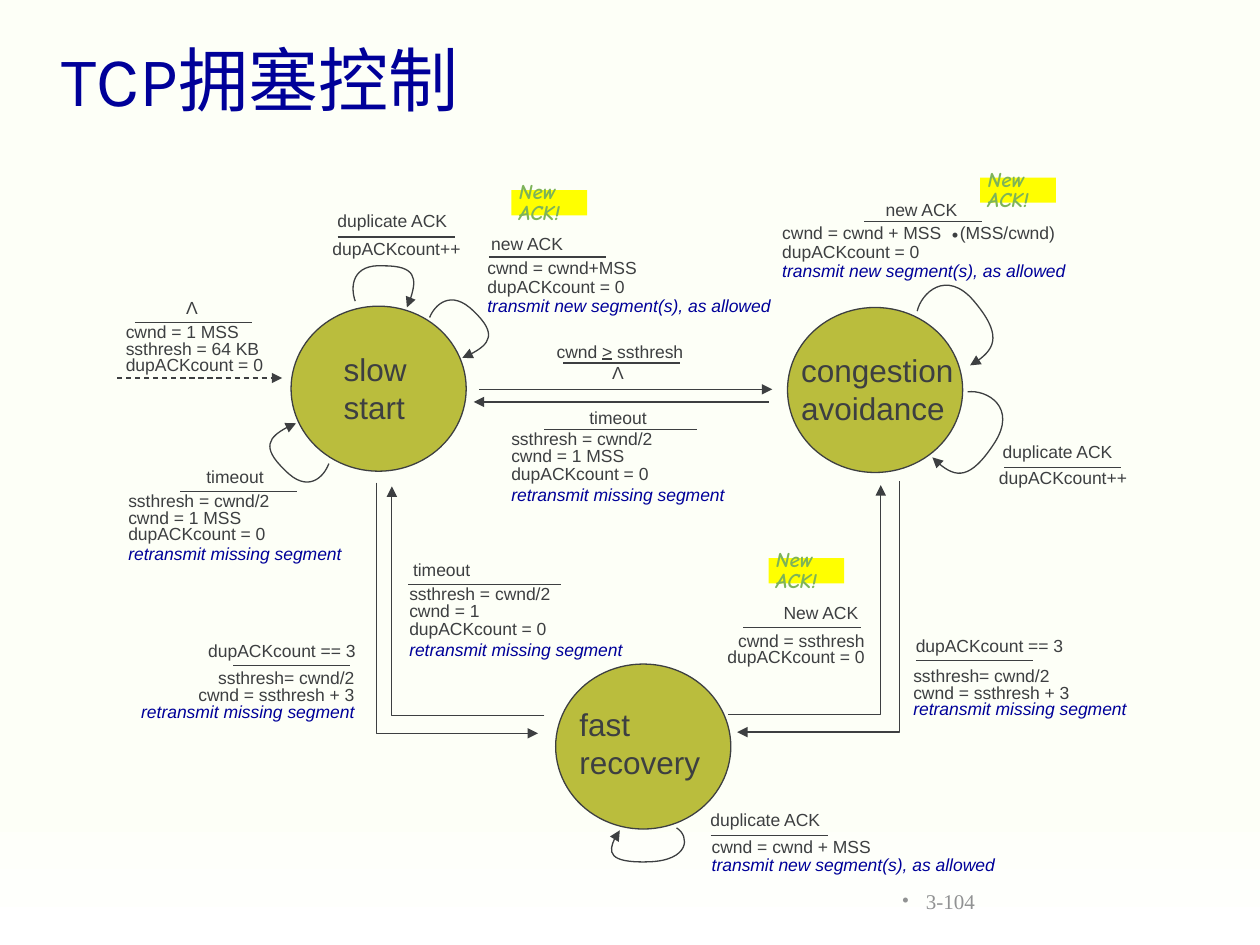
import lxml.etree
import pptx
import pptx.dml.color, pptx.oxml.ns, pptx.util
import pptx.enum.dml, pptx.enum.shapes, pptx.enum.text

Inches = pptx.util.Inches
qn = pptx.oxml.ns.qn
SHAPES = pptx.enum.shapes.MSO_SHAPE
LEFT, RIGHT = pptx.enum.text.PP_ALIGN.LEFT, pptx.enum.text.PP_ALIGN.RIGHT
MIDDLE = pptx.enum.text.MSO_ANCHOR.MIDDLE

INK, NAVY, OLIVE, YELLOW, GREEN, GREY = "3D3F41", "000099", "BABD3D", "FFFF00", "7DB359", "919293"
IVORY, WHITE = "FDFFF7", "FFFFFF"
SEND, RESEND = "transmit new segment(s), as allowed", "retransmit missing segment"
COUNT, RESET, HALVE = "dupACKcount++", "dupACKcount = 0", "ssthresh = cwnd/2"
RESTART = [HALVE, "cwnd = 1 MSS", RESET, RESEND]
INFLATE = ["ssthresh= cwnd/2", "cwnd = ssthresh + 3", RESEND]
GROW = ["cwnd = cwnd+MSS", RESET, SEND]
CREEP = ["cwnd = cwnd + MSS\t(MSS/cwnd)", RESET, SEND]
BEGIN = ["cwnd = 1 MSS", "ssthresh = 64 KB", RESET]

TRANSITIONS = [
    ("duplicate ACK", (2.58, 1.62, 1.08), (2.68, 1.88, 0.93), (2.54, 1.87, 1.22, 0.39), [COUNT], 0.8, LEFT),
    ("new ACK", (3.8, 1.8, 0.78), (3.88, 2.04, 0.93), (3.77, 2.01, 2.45, 0.71), GROW, 0.9, LEFT),
    ("Λ", (1.38, 2.31, 0.3), (1.07, 2.56, 0.93), (0.9, 2.53, 1.29, 0.5), BEGIN, 0.8, LEFT),
    ("timeout", (1.54, 3.65, 0.7), (1.43, 3.9, 0.93), (0.92, 3.87, 1.94, 0.66), RESTART, 0.8, LEFT),
    ("cwnd > ssthresh", (4.32, 2.66, 1.2), (4.47, 2.88, 0.93), (4.76, 2.86, 0.3, 0.23), ["Λ"], 0.8, LEFT),
    ("timeout", (4.58, 3.18, 0.7), (4.32, 3.41, 1.21), (3.96, 3.37, 1.94, 0.7), RESTART, 0.85, LEFT),
    ("new ACK", (6.93, 1.53, 0.78), (6.86, 1.76, 0.93), (6.11, 1.73, 2.45, 0.71), CREEP, 0.9, LEFT),
    ("duplicate ACK", (7.86, 3.45, 1.08), (7.97, 3.71, 0.93), (7.83, 3.69, 1.22, 0.39), [COUNT], 0.8, LEFT),
    ("dupACKcount == 3", (1.55, 5.03, 1.37), (1.85, 5.28, 0.93), (1.02, 5.28, 1.89, 0.66), INFLATE, 0.8, RIGHT),
    ("timeout", (3.18, 4.39, 0.7), (3.24, 4.64, 1.21), (3.15, 4.6, 1.94, 0.7),
     [HALVE, "cwnd = 1", RESET, RESEND], 0.85, LEFT),
    ("New ACK", (6.11, 4.73, 0.8), (5.9, 4.98, 0.93), (5.67, 4.98, 1.29, 0.66),
     ["cwnd = ssthresh", RESET], 0.8, RIGHT),
    ("dupACKcount == 3", (7.17, 4.99, 1.37), (7.27, 5.24, 0.93), (7.15, 5.26, 1.89, 0.66), INFLATE, 0.8, LEFT),
    ("duplicate ACK", (5.54, 6.37, 1.08), (5.64, 6.63, 0.93), (5.55, 6.61, 2.45, 0.55),
     ["cwnd = cwnd + MSS", SEND], 0.85, LEFT),
]
STATES = [
    ((2.31, 2.43), (2.63, 2.73, 0.77, 0.7), ["slow", "start"]),
    ((6.25, 2.44), (6.26, 2.74, 1.41, 1), ["congestion", "avoidance"]),
    ((4.41, 5.27), (4.5, 5.55, 1.23, 1), ["fast", "recovery"]),
]
LOOPS = [
    [(2.82, 2.39), (2.78, 2.28), (2.79, 2.09), (3.05, 2.11), (3.3, 2.11), (3.32, 2.24), (3.23, 2.44)],
    [(3.41, 2.52), (3.45, 2.42), (3.58, 2.29), (3.76, 2.47), (3.95, 2.65), (3.87, 2.76), (3.67, 2.84)],
    [(2.61, 3.68), (2.57, 3.79), (2.44, 3.92), (2.26, 3.73), (2.07, 3.55), (2.15, 3.44), (2.35, 3.36)],
    [(7.28, 2.47), (7.31, 2.33), (7.51, 2.13), (7.73, 2.39), (7.95, 2.65), (7.89, 2.8), (7.7, 2.9)],
    [(7.68, 3.11), (7.83, 3.09), (8.08, 3.23), (7.89, 3.52), (7.7, 3.81), (7.55, 3.79), (7.4, 3.63)],
    [(5.37, 6.57), (5.48, 6.64), (5.47, 6.83), (5.15, 6.84), (4.82, 6.85), (4.82, 6.72), (4.92, 6.59)],
]
ELBOWS = [
    [(2.99, 3.83), (2.99, 5.82), (4.27, 5.82)], [(4.32, 5.68), (3.11, 5.68), (3.11, 3.86)],
    [(7.14, 3.82), (7.14, 5.81), (5.85, 5.81)], [(5.78, 5.67), (6.99, 5.67), (6.99, 3.85)],
]


def colour(value):
    """Turn a hex string into a colour."""
    return pptx.dml.color.RGBColor.from_string(value)


def add_span(para, text, ink, size, **values):
    """Add a run with its colour, size and font values."""
    span = para.add_run()
    span.text = text
    span.font.color.rgb = colour(ink)
    for name, value in {"size": pptx.util.Pt(size), **values}.items():
        setattr(span.font, name, value)


def add_text(page, place, lines, size=10, ink=INK, spacing=None, align=LEFT, wrap=False, **values):
    """Add a text box with one paragraph a line; lines on sending are navy italics."""
    box = page.shapes.add_textbox(*map(Inches, place))
    frame = box.text_frame
    frame.word_wrap = wrap
    frame.auto_size = pptx.enum.text.MSO_AUTO_SIZE.SHAPE_TO_FIT_TEXT
    for index, line in enumerate(lines):
        para = frame.paragraphs[0] if index == 0 else frame.add_paragraph()
        para.alignment, para.line_spacing = align, spacing
        if index == 3:
            para.space_before = pptx.util.Pt(1.5)
        if "\t" in line:
            stops = lxml.etree.SubElement(para._p.get_or_add_pPr(), qn("a:tabLst"))
            lxml.etree.SubElement(stops, qn("a:tab"), pos=str(Inches(1.41)), algn="l")
        sending = "transmit" in line
        style = {"name": "Arial", "italic": sending, **values}
        add_span(para, line, NAVY if sending else ink, size, **style)
    return box


def style_line(shape, arrow=False, dashed=False):
    """Give a shape the thin dark line, with an arrowhead or dashes if asked."""
    shape.line.color.rgb = colour(INK)
    shape.line.width = pptx.util.Pt(0.75)
    if dashed:
        shape.line.dash_style = pptx.enum.dml.MSO_LINE.DASH
    if arrow:
        outline = shape._element.spPr.find(qn("a:ln"))
        lxml.etree.SubElement(outline, qn("a:tailEnd"), type="triangle")


def add_line(page, left, top, right, **style):
    """Add a level straight line."""
    kind = pptx.enum.shapes.MSO_CONNECTOR.STRAIGHT
    line = page.shapes.add_connector(kind, *map(Inches, (left, top, right, top)))
    style_line(line, **style)
    lxml.etree.SubElement(line._element.spPr, qn("a:effectLst"))


def add_route(page, points, curved):
    """Add an open arrow through the points, or with them as Bezier controls."""
    start, *rest = [tuple(map(Inches, point)) for point in points]
    builder = page.shapes.build_freeform(*start)
    builder.add_line_segments(rest, close=False)
    route = builder.convert_to_shape()
    route.shadow.inherit = False
    route.fill.background()
    style_line(route, arrow=True)
    if curved:
        outline = next(route._element.iter(qn("a:path")))
        segments = outline.findall(qn("a:lnTo"))
        for index, segment in enumerate(segments):
            if index % 3 == 0:
                curve = lxml.etree.SubElement(outline, qn("a:cubicBezTo"))
            curve.append(segment[0])
            outline.remove(segment)


def add_filled(page, kind, place, fill):
    """Add a plain filled shape without an outline."""
    shape = page.shapes.add_shape(kind, *map(Inches, place))
    shape.shadow.inherit = False
    shape.fill.solid()
    shape.fill.fore_color.rgb = colour(fill)
    shape.line.fill.background()
    return shape


def add_backdrop(page):
    """Lay a sheet at the back that fades from ivory to white near the bottom."""
    sheet = add_filled(page, SHAPES.RECTANGLE, (0, 0, 10, 7.5), IVORY)
    page.shapes._spTree.insert(2, sheet._element)
    sheet.fill.gradient()
    sheet.fill.gradient_angle = 270
    for stop, position, value in zip(sheet.fill.gradient_stops, (0.84, 1), (IVORY, WHITE)):
        stop.position, stop.color.rgb = position, colour(value)


def add_title(page, text):
    """Place and format the title."""
    title = page.shapes.title
    title.left, title.top, title.width, title.height = map(Inches, (0.39, 0.15, 8.5, 0.94))
    title.text_frame.vertical_anchor = MIDDLE
    title.text_frame.paragraphs[0].alignment = LEFT
    add_span(title.text_frame.paragraphs[0], text, NAVY, 40, name="Karla")


def add_page_number(page, text):
    """Add the bulleted page number."""
    box = add_text(page, (7.06, 6.95, 2.25, 0.4), [text], 12, GREY, wrap=True, name="Times New Roman")
    box.text_frame.auto_size = pptx.enum.text.MSO_AUTO_SIZE.NONE
    box.text_frame.vertical_anchor = MIDDLE
    props = box.text_frame.paragraphs[0]._p.get_or_add_pPr()
    props.set("marL", str(Inches(0.19)))
    props.set("indent", str(Inches(-0.19)))
    lxml.etree.SubElement(props, qn("a:buFont"), typeface="Times New Roman")
    lxml.etree.SubElement(props, qn("a:buChar"), char="•")


def main():
    """Build the state diagram and save it."""
    deck = pptx.Presentation()
    deck.slide_width, deck.slide_height = Inches(10), Inches(7.5)
    page = deck.slides.add_slide(deck.slide_layouts[5])
    add_backdrop(page)
    add_title(page, "TCP拥塞控制")
    add_page_number(page, "3-104")
    for corner, place, lines in STATES:
        style_line(add_filled(page, SHAPES.OVAL, (*corner, 1.39, 1.31), OLIVE))
        add_text(page, place, lines, 18)
    for heading, place, (left, top, length), body, lines, spacing, align in TRANSITIONS:
        add_text(page, (*place, 0.27), [heading], align=align)
        add_line(page, left, top, left + length)
        add_text(page, body, lines, spacing=spacing, align=align)
    add_text(page, (7.44, 1.5, 0.28, 0.5), ["."], 24, name="Times New Roman")
    add_line(page, 4.78, 2.85, 4.86)
    add_line(page, 3.8, 3.09, 6.13, arrow=True)
    add_line(page, 6.1, 3.19, 3.76, arrow=True)
    add_line(page, 0.93, 3, 2.24, arrow=True, dashed=True)
    for points in LOOPS + ELBOWS:
        add_route(page, points, curved=points in LOOPS)
    for left, top in [(4.06, 1.51), (7.78, 1.41), (6.1, 4.43)]:
        add_filled(page, SHAPES.RECTANGLE, (left, top, 0.6, 0.2), YELLOW)
        add_text(page, (left - 0.04, top - 0.1, 0.69, 0.42), ["New", "ACK!"], 12, GREEN,
                 spacing=0.8, wrap=True, name="Comic Neue", bold=True, italic=True)
    deck.save("out.pptx")


if __name__ == "__main__":
    main()
